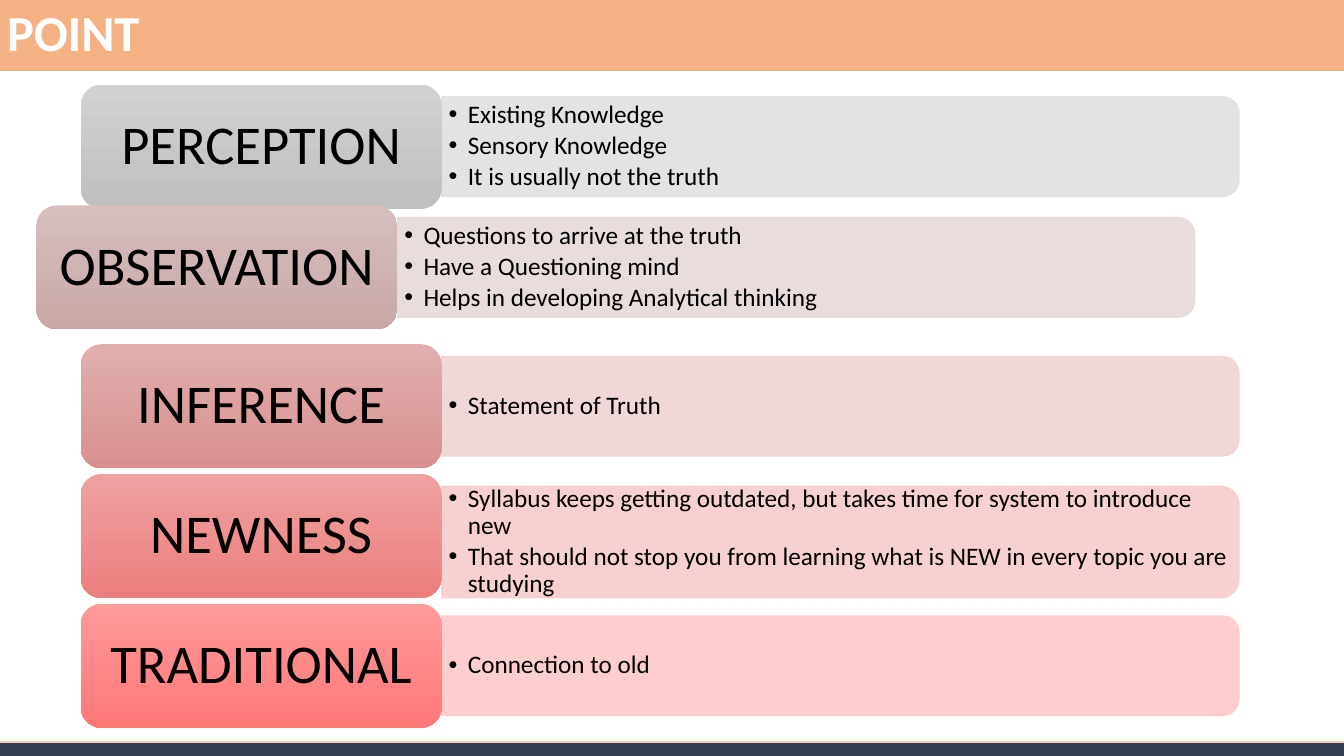
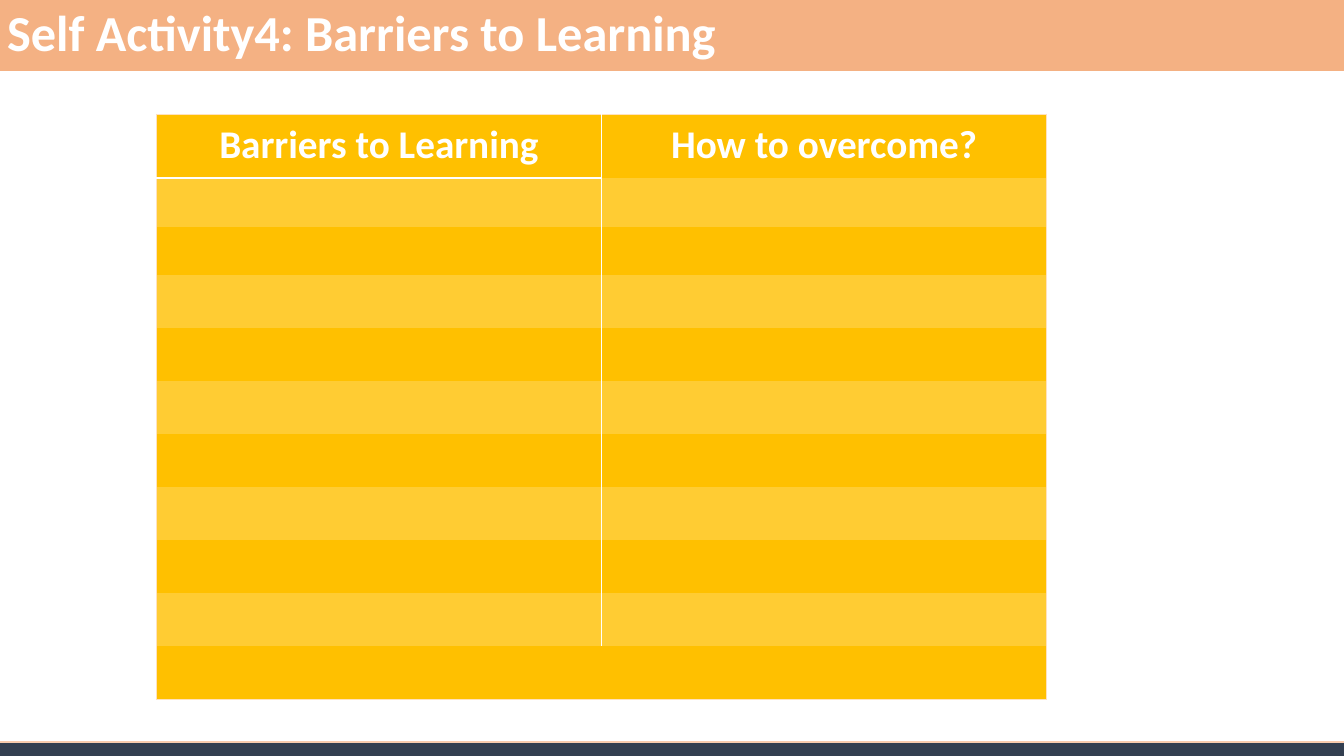
import math

from lxml import etree
from pptx import Presentation
from pptx.dml.color import RGBColor
from pptx.enum import shapes, text
from pptx.oxml.ns import qn
from pptx.util import Inches, Pt

WHITE = RGBColor(0xFF, 0xFF, 0xFF)
BLACK = RGBColor(0x00, 0x00, 0x00)
PEACH = RGBColor(0xF4, 0xB1, 0x83)
PALE_PEACH = RGBColor(0xF8, 0xCB, 0xAD)
SLATE = RGBColor(0x33, 0x3F, 0x50)
GOLD = RGBColor(0xFF, 0xC0, 0x00)
LIGHT_GOLD = RGBColor(0xFF, 0xCC, 0x33)
CREAM = RGBColor(0xFF, 0xE2, 0xBD)

TITLE_FONT = {"name": "Calibri", "size": Pt(36), "bold": True}
LABEL_FONT = {"name": "Calibri", "size": Pt(39), "bold": False}
LIST_FONT = {"name": "Calibri", "size": Pt(18), "bold": False}
HEADER_FONT = {"name": "Calibri", "size": Pt(28), "bold": True}


def write(frame, lines, font, color, align, spacing, margins):
    frame.word_wrap = True
    frame.auto_size = text.MSO_AUTO_SIZE.NONE
    frame.vertical_anchor = text.MSO_ANCHOR.MIDDLE
    for side, margin in zip(("left", "top", "right", "bottom"), margins):
        setattr(frame, f"margin_{side}", Inches(margin))
    for index, line in enumerate(lines):
        para = frame.paragraphs[0] if index == 0 else frame.add_paragraph()
        para.alignment = align
        para.line_spacing = spacing
        para.space_before = Pt(2.7 if index else 0)
        span = para.add_run()
        span.text = line
        for name, value in font.items():
            setattr(span.font, name, value)
        span.font.color.rgb = color


def paint(shape, fill, line, width):
    shape.shadow.inherit = False
    shape.fill.solid()
    shape.fill.fore_color.rgb = fill
    shape.line.color.rgb = line
    shape.line.width = Pt(width)


deck = Presentation()
deck.slide_width = Inches(13.33)
deck.slide_height = Inches(7.5)
title_only = deck.slide_layouts[5]

pages = []
for heading in ("POINT", "Self Activity4: Barriers to Learning"):
    page = deck.slides.add_slide(title_only)
    title = page.shapes.title
    title.left, title.top = 0, 0
    title.width, title.height = deck.slide_width, Inches(0.7)
    title.fill.solid()
    title.fill.fore_color.rgb = PEACH
    title.line.color.rgb = PEACH
    title.line.width = Pt(0.75)
    write(title.text_frame, [heading], TITLE_FONT, WHITE, text.PP_ALIGN.LEFT,
          0.9, (0.07, 0.04, 0.07, 0.04))
    footer = page.shapes.add_shape(shapes.MSO_SHAPE.RECTANGLE, Inches(-0.03),
                                   Inches(7.36), Inches(13.39), Inches(0.17))
    paint(footer, SLATE, PALE_PEACH, 1)
    pages.append(page)

point_page, barriers_page = pages

STEPS = [
    ("PERCEPTION", "E0E0E0", "D1D1D1", "C0C0C0", 0, 0, 0.99,
     ["Existing Knowledge", "Sensory Knowledge", "It is usually not the truth"]),
    ("OBSERVATION", "E7D9D9", "D7BFBF", "C9A7A7", -0.44, -0.09, 0.99,
     ["Questions to arrive at the truth", "Have a Questioning mind",
      "Helps in developing Analytical thinking"]),
    ("INFERENCE", "F0D3D3", "E1AEAE", "D99090", 0, 0, 0.99,
     ["Statement of Truth"]),
    ("NEWNESS", "F7CDCD", "EFA1A1", "ED7E7E", 0, 0, 1.11,
     ["Syllabus keeps getting outdated, but takes time for system to introduce new",
      "That should not stop you from learning what is NEW in every topic you are studying"]),
    ("TRADITIONAL", "FEC9C9", "FF9A9A", "FF7878", 0, 0, 0.99,
     ["Connection to old"]),
]
FIRST_TOP, LAST_TOP = 0.84, 5.99
LABEL_WIDTH, LABEL_HEIGHT = 3.58, 1.23
PANEL_WIDTH = 7.91
pitch = (LAST_TOP - FIRST_TOP) / (len(STEPS) - 1)

for index, (name, tint, light, dark, shift_x, shift_y, height, lines) in enumerate(STEPS):
    left = 0.8 + shift_x
    top = FIRST_TOP + index * pitch + shift_y
    panel_left, panel_top = left + LABEL_WIDTH, top + 0.12
    right, bottom = panel_left + PANEL_WIDTH, panel_top + height
    radius = height / 6

    outline = [(panel_left, panel_top)]
    for center_y, start in ((panel_top + radius, -90), (bottom - radius, 0)):
        for degrees in range(start, start + 91, 10):
            angle = math.radians(degrees)
            outline.append((right - radius + radius * math.cos(angle),
                            center_y + radius * math.sin(angle)))
    outline.append((panel_left, bottom))
    points = [(Inches(x), Inches(y)) for x, y in outline]
    builder = point_page.shapes.build_freeform(*points[0])
    builder.add_line_segments(points[1:], close=True)
    panel = builder.convert_to_shape()
    paint(panel, RGBColor.from_string(tint), RGBColor.from_string(tint), 0.75)
    for color in panel.element.spPr.iter(qn("a:srgbClr")):
        etree.SubElement(color, qn("a:alpha"), val="90000")
    write(panel.text_frame, lines, LIST_FONT, BLACK, text.PP_ALIGN.LEFT,
          0.9, (0.07, 0.08, 0.11, 0.08))
    for para in panel.text_frame.paragraphs:
        properties = para._p.get_or_add_pPr()
        properties.set("marL", str(Inches(0.19)))
        properties.set("indent", str(Inches(-0.19)))
        etree.SubElement(properties, qn("a:buFont"), typeface="Arial")
        etree.SubElement(properties, qn("a:buChar"), char="•")

    label = point_page.shapes.add_shape(
        shapes.MSO_SHAPE.ROUNDED_RECTANGLE, Inches(left), Inches(top),
        Inches(LABEL_WIDTH), Inches(LABEL_HEIGHT))
    label.shadow.inherit = False
    label.line.fill.background()
    label.fill.gradient()
    label.fill.gradient_angle = 270
    for stop, shade in zip(label.fill.gradient_stops, (light, dark)):
        stop.color.rgb = RGBColor.from_string(shade)
    write(label.text_frame, [name], LABEL_FONT, BLACK, text.PP_ALIGN.CENTER,
          0.9, (0.1, 0.08, 0.1, 0.08))

HEADERS = ("Barriers to Learning", "How to overcome?")
ROW_COUNT, TABLE_HEIGHT = 11, 5.81
heights = [0.64, 0.48, 0.48]
remaining = ROW_COUNT - len(heights)
heights += [(TABLE_HEIGHT - sum(heights)) / remaining] * remaining

table = barriers_page.shapes.add_table(
    ROW_COUNT, len(HEADERS), Inches(1.55), Inches(1.13),
    Inches(8.83), Inches(TABLE_HEIGHT)).table
table.first_row = False
table.horz_banding = False
style = table._tbl.tblPr.find(qn("a:tableStyleId"))
style.text = "{2D5ABB26-0587-4C30-8999-92F81FD0307C}"

last = ROW_COUNT - 1
for row, height in enumerate(heights):
    table.rows[row].height = Inches(height)
    for column, header in enumerate(HEADERS):
        cell = table.cell(row, column)
        borders = {}
        if column == 0:
            borders["a:lnL"] = (CREAM, 0.5)
            if row < last:
                borders["a:lnR"] = (WHITE, 1)
        else:
            borders["a:lnR"] = (CREAM, 0.5)
        if row == 0:
            borders["a:lnT"] = (CREAM, 0.5)
            if column == 0:
                borders["a:lnB"] = (WHITE, 1.5)
            write(cell.text_frame, [header], HEADER_FONT, WHITE,
                  text.PP_ALIGN.CENTER, 1.15, (0, 0, 0, 0))
            cell.margin_left = cell.margin_right = Inches(0.06)
            cell.margin_top = cell.margin_bottom = 0
        elif row == last:
            borders["a:lnB"] = (CREAM, 0.5)
        properties = cell._tc.get_or_add_tcPr()
        for tag in ("a:lnL", "a:lnR", "a:lnT", "a:lnB"):
            if tag in borders:
                color, width = borders[tag]
                line = etree.SubElement(properties, qn(tag), w=str(Pt(width)))
                solid = etree.SubElement(line, qn("a:solidFill"))
                etree.SubElement(solid, qn("a:srgbClr"), val=str(color))
        cell.fill.solid()
        cell.fill.fore_color.rgb = LIGHT_GOLD if row % 2 else GOLD

deck.save("out.pptx")
